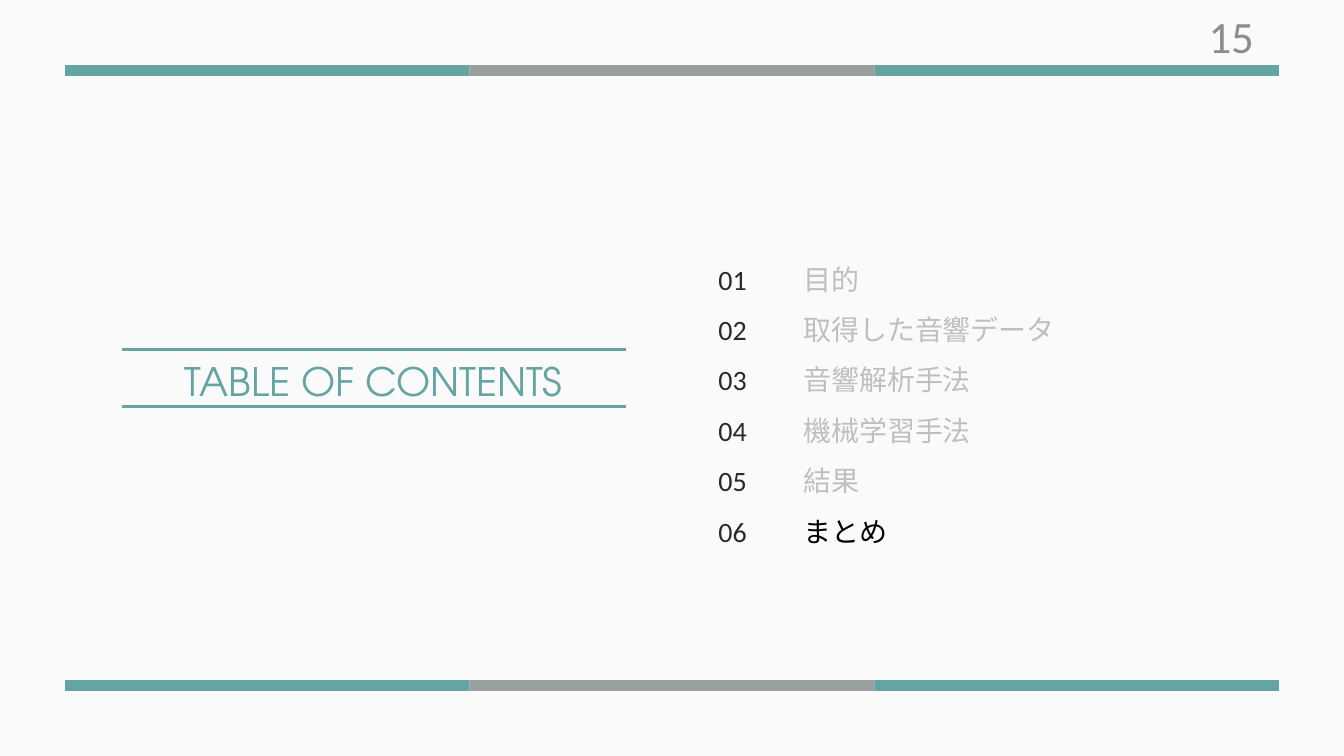
"""Build a table of contents slide."""
from dataclasses import dataclass

from lxml import etree
from pptx import Presentation
from pptx.dml.color import RGBColor
from pptx.enum.shapes import MSO_CONNECTOR, MSO_SHAPE
from pptx.enum.text import MSO_ANCHOR, MSO_AUTO_SIZE, PP_ALIGN
from pptx.oxml.ns import qn
from pptx.util import Inches, Pt

RECT = MSO_SHAPE.RECTANGLE
LINE = MSO_CONNECTOR.STRAIGHT
TOP, MIDDLE = MSO_ANCHOR.TOP, MSO_ANCHOR.MIDDLE
LEFT, CENTER, RIGHT = PP_ALIGN.LEFT, PP_ALIGN.CENTER, PP_ALIGN.RIGHT
NO_FIT = MSO_AUTO_SIZE.NONE

TEAL, GRAY, PALE, BLACK = "64A4A3", "999F9F", "BFBFBF", "000000"
INK, PAPER, FOLIO = "292B2B", "FAFAFA", "8C8C8C"
LATIN, ASIAN, DISPLAY = "Calibri", "Noto Sans CJK SC", "TeX Gyre Adventor"


@dataclass
class Style:
    """Look of a paragraph."""
    font: str
    size: float
    color: str
    lead: float | None = None
    align: PP_ALIGN = LEFT


@dataclass
class Topic:
    """One line of the contents."""
    name: str
    color: str = PALE


TOPICS = [
    Topic("目的"),
    Topic("取得した音響データ"),
    Topic("音響解析手法"),
    Topic("機械学習手法"),
    Topic("結果"),
    Topic("まとめ", BLACK),
]


def paint(code: str) -> RGBColor:
    """Turn a hex string into a colour."""
    return RGBColor.from_string(code)


def place(shape, left: float, top: float, width: float, height: float) -> None:
    """Set the frame of a shape in inches."""
    shape.left, shape.top = Inches(left), Inches(top)
    shape.width, shape.height = Inches(width), Inches(height)


def write(shape, lines: list[tuple[str, Style]], anchor: MSO_ANCHOR = TOP) -> None:
    """Fill a shape with one styled paragraph per line."""
    frame = shape.text_frame
    frame.word_wrap = True
    frame.auto_size = NO_FIT
    frame.vertical_anchor = anchor
    frame.margin_left = frame.margin_right = 0
    frame.margin_top = frame.margin_bottom = 0
    frame.text = "\n".join(text for text, _ in lines)
    for para, (_, style) in zip(frame.paragraphs, lines):
        para.alignment = style.align
        if style.lead:
            para.line_spacing = Pt(style.lead)
        font = para.font
        font.size = Pt(style.size)
        font.color.rgb = paint(style.color)
        font.name = style.font
        props = para._p.pPr.find(qn("a:defRPr"))
        etree.SubElement(props, qn("a:ea")).set("typeface", style.font)


def add_text(slide, box: tuple[float, float, float, float],
             lines: list[tuple[str, Style]], anchor: MSO_ANCHOR = TOP) -> None:
    """Add a text box."""
    write(slide.shapes.add_textbox(*map(Inches, box)), lines, anchor)


def add_band(slide, top: float) -> None:
    """Add a band of three equal bars."""
    width = 6.02
    for col, color in enumerate((TEAL, GRAY, TEAL)):
        bar = slide.shapes.add_shape(RECT, 0, 0, 0, 0)
        place(bar, 0.97 + col * width, top, width, 0.16)
        bar.shadow.inherit = False
        bar.fill.solid()
        bar.fill.fore_color.rgb = paint(color)
        bar.line.fill.background()


def add_rule(slide, top: float) -> None:
    """Add a level line beside the title."""
    rule = slide.shapes.add_connector(
        LINE, Inches(1.81), Inches(top), Inches(9.31), Inches(top))
    rule.line.color.rgb = paint(TEAL)
    rule.line.width = Pt(3)
    etree.SubElement(rule._element.spPr, qn("a:effectLst"))


def main() -> None:
    """Draw the slide and save it."""
    deck = Presentation()
    deck.slide_width, deck.slide_height = Inches(20), Inches(11.25)
    slide = deck.slides.add_slide(deck.slide_layouts[5])
    slide.background.fill.solid()
    slide.background.fill.fore_color.rgb = paint(PAPER)

    for top in (0.97, 10.12):
        add_band(slide, top)

    add_text(slide, (11.95, 3.65, 5.65, 4.46),
             [(t.name, Style(ASIAN, 30, t.color, 54)) for t in TOPICS])
    add_text(slide, (10.69, 3.65, 1.26, 4.48),
             [(f"{n:02}", Style(LATIN, 30, INK, 54))
              for n in range(1, len(TOPICS) + 1)])

    title = slide.shapes.title
    place(title, 2.01, 5.2, 7.1, 0.78)
    write(title, [("TABLE OF CONTENTS", Style(DISPLAY, 42, TEAL, 58.8, CENTER))])
    for top in (5.2, 6.05):
        add_rule(slide, top)

    add_text(slide, (16.43, 0.33, 2.23, 0.4),
             [("15", Style(LATIN, 48, FOLIO, align=RIGHT))], MIDDLE)
    deck.save("out.pptx")


if __name__ == "__main__":
    main()
